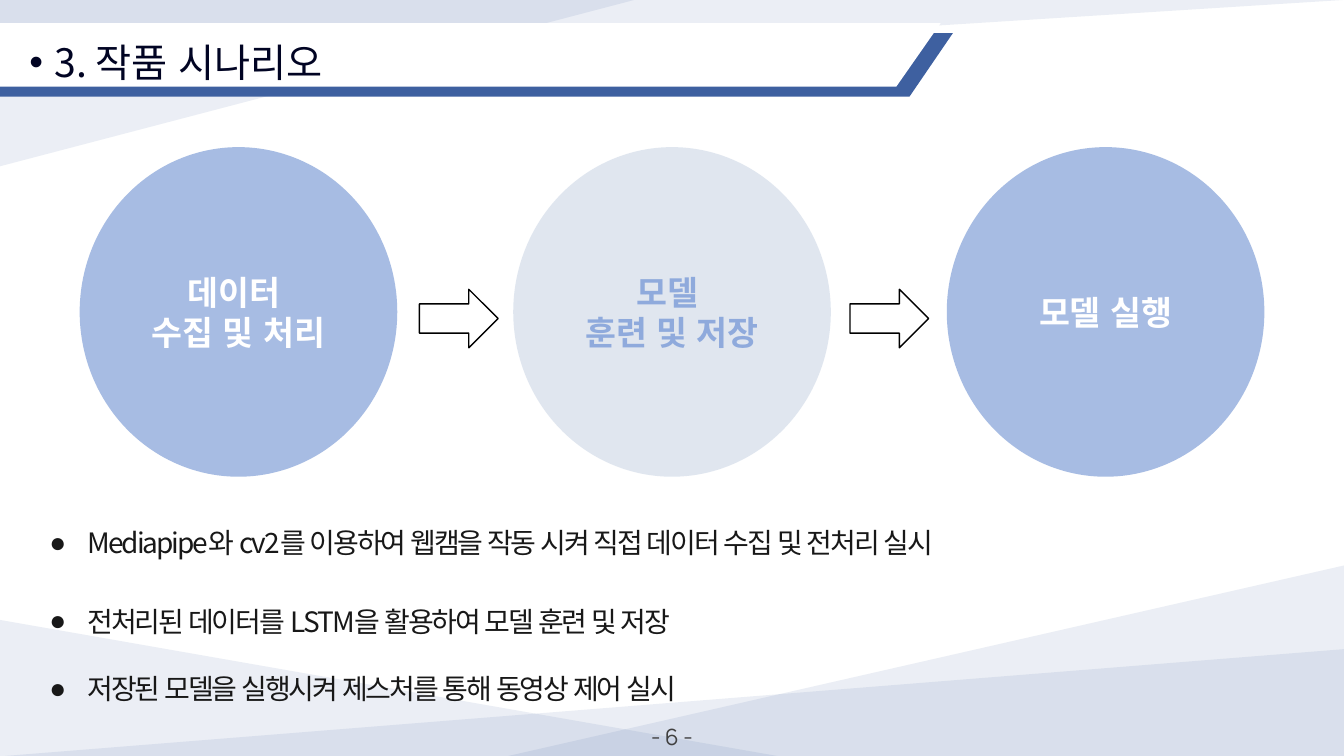
from lxml import etree
from pptx import Presentation
from pptx.dml.color import RGBColor
from pptx.enum.lang import MSO_LANGUAGE_ID
from pptx.enum.shapes import MSO_SHAPE
from pptx.enum.text import MSO_ANCHOR, MSO_AUTO_SIZE, PP_ALIGN
from pptx.oxml.ns import qn
from pptx.util import Emu, Pt

PX = 9144  # 100 px to the inch
TRIANGLE = MSO_SHAPE.RIGHT_TRIANGLE
CIRCLE = MSO_SHAPE.FLOWCHART_CONNECTOR
ARROW = MSO_SHAPE.RIGHT_ARROW
KOREAN = MSO_LANGUAGE_ID.KOREAN
LEFT, CENTER = PP_ALIGN.LEFT, PP_ALIGN.CENTER
TOP, MIDDLE = MSO_ANCHOR.TOP, MSO_ANCHOR.MIDDLE
GROW, FIXED = MSO_AUTO_SIZE.SHAPE_TO_FIT_TEXT, MSO_AUTO_SIZE.NONE

WHITE = RGBColor(0xFF, 0xFF, 0xFF)
BLACK = RGBColor(0, 0, 0)
NAVY = RGBColor(0x3E, 0x60, 0xA0)
BLUE = RGBColor(0x44, 0x72, 0xC4)
PALE = RGBColor(0xC9, 0xD4, 0xE4)
SOFT_BLUE = RGBColor(0x8F, 0xAA, 0xDC)
TITLE_INK = RGBColor(0x01, 0x04, 0x23)
BODY_INK = RGBColor(0x18, 0x18, 0x18)
PAGE_INK = RGBColor(0x40, 0x40, 0x40)
KOREAN_FONT, NUMBER_FONT = "Noto Sans CJK KR", "Manrope"

TITLE = "3. 작품 시나리오"
PAGE_NUMBER = "- 6 -"
# left, top, width, height, flip attribute
BACKDROP = [
    (0, 615, 771, 135, None),
    (5, 644, 1328, 106, "flipH"),
    (504, 561, 829, 189, "flipH"),
    (0, 0, 1333, 84, "flipV"),
    (0, 0, 629, 165, "flipV"),
]
# top, upper right, lower right, colour
BANNERS = [(33, 945, 902, NAVY), (23, 933, 889, WHITE)]
BANNER_HEIGHT = 63
# lines, fill, opacity in percent, text colour
STAGES = [
    (["데이터 ", "수집 및 처리"], BLUE, 47, WHITE),
    (["모델 ", "훈련 및 저장"], PALE, 56, SOFT_BLUE),
    (["모델 실행"], BLUE, 47, WHITE),
]
STAGE_LEFT, STAGE_PITCH = 79, 430
ARROW_LEFT, ARROW_PITCH = 416, 427
# top, text
NOTES = [
    (500, "Mediapipe와 cv2를 이용하여 웹캠을 작동 시켜 직접 데이터 수집 및 전처리 실시"),
    (578, "전처리된 데이터를 LSTM을 활용하여 모델 훈련 및 저장"),
    (645, "저장된 모델을 실행시켜 제스처를 통해 동영상 제어 실시"),
]


def emu(*lengths):
    return [Emu(length * PX) for length in lengths]


def paint(shape, color, opacity=100, line=None):
    shape.shadow.inherit = False
    shape.fill.solid()
    shape.fill.fore_color.rgb = color
    if opacity < 100:
        tint = shape.fill._xPr.find(".//" + qn("a:srgbClr"))
        etree.SubElement(tint, qn("a:alpha"), val=str(opacity * 1000))
    if line is None:
        shape.line.fill.background()
    else:
        shape.line.color.rgb = line
        shape.line.width = Pt(1)


def add_block(page, kind, frame, color, opacity=100, line=None):
    shape = page.shapes.add_shape(kind, *emu(*frame))
    paint(shape, color, opacity, line)
    return shape


def write(box, lines, size, color, align=LEFT, anchor=TOP, font=KOREAN_FONT,
          bold=False, bullet=None, indent=0, tracking=0, fit=FIXED):
    text = box.text_frame
    text.word_wrap = True
    text.auto_size = fit
    text.vertical_anchor = anchor
    for index, line in enumerate(lines):
        para = text.add_paragraph() if index else text.paragraphs[0]
        para.alignment = align
        if bullet:
            props = para._p.get_or_add_pPr()
            props.set("marL", str(indent * PX))
            props.set("indent", str(-indent * PX))
            etree.SubElement(props, qn("a:buFont"), typeface="Arial")
            etree.SubElement(props, qn("a:buChar"), char=bullet)
            para.line_spacing = 1.5
            para.space_before = Pt(0)
        span = para.add_run()
        span.text = line
        span.font.size = Pt(size)
        span.font.bold = bold
        span.font.name = font
        span.font.color.rgb = color
        span.font.language_id = KOREAN
        run_props = span._r.get_or_add_rPr()
        etree.SubElement(run_props, qn("a:ea"), typeface=font)
        if tracking:
            run_props.set("spc", str(int(tracking * 100)))


def add_backdrop(page):
    for *frame, flip in BACKDROP:
        triangle = add_block(page, TRIANGLE, frame, NAVY, 10)
        if flip:
            triangle._element.spPr.find(qn("a:xfrm")).set(flip, "1")
    for top, upper_right, lower_right, color in BANNERS:
        bottom = top + BANNER_HEIGHT
        outline = page.shapes.build_freeform(0, top, scale=PX)
        outline.add_line_segments(
            [(upper_right, top), (lower_right, bottom), (0, bottom)])
        paint(outline.convert_to_shape(), color)


def add_title(page):
    title = page.shapes.title
    title.left, title.top, title.width, title.height = emu(19, 10, 567, 42)
    page.shapes._spTree.append(title._element)  # in front of the banner
    write(title, [TITLE], 28, TITLE_INK, bullet="•", indent=25)


def add_stages(page):
    for index, (lines, fill, opacity, ink) in enumerate(STAGES):
        left = STAGE_LEFT + index * STAGE_PITCH
        circle = add_block(page, CIRCLE, (left, 146, 315, 327), fill, opacity)
        write(circle, lines, 24, ink, CENTER, MIDDLE, bold=True)
    for index in range(len(STAGES) - 1):
        left = ARROW_LEFT + index * ARROW_PITCH
        add_block(page, ARROW, (left, 287, 78, 58), WHITE, line=BLACK)


def add_notes(page):
    for top, line in NOTES:
        box = page.shapes.add_textbox(*emu(39, top, 1255, 54))
        write(box, [line], 20, BODY_INK, bullet="●", indent=38,
              tracking=-1.5, fit=GROW)


def main():
    deck = Presentation()
    deck.slide_width, deck.slide_height = emu(1333, 750)
    page = deck.slides.add_slide(deck.slide_layouts[5])
    page.background.fill.solid()
    page.background.fill.fore_color.rgb = WHITE
    add_backdrop(page)
    add_title(page)
    number = page.shapes.add_textbox(*emu(355, 713, 623, 37))
    write(number, [PAGE_NUMBER], 16, PAGE_INK, CENTER, font=NUMBER_FONT, fit=GROW)
    add_stages(page)
    add_notes(page)
    deck.save("out.pptx")


if __name__ == "__main__":
    main()
